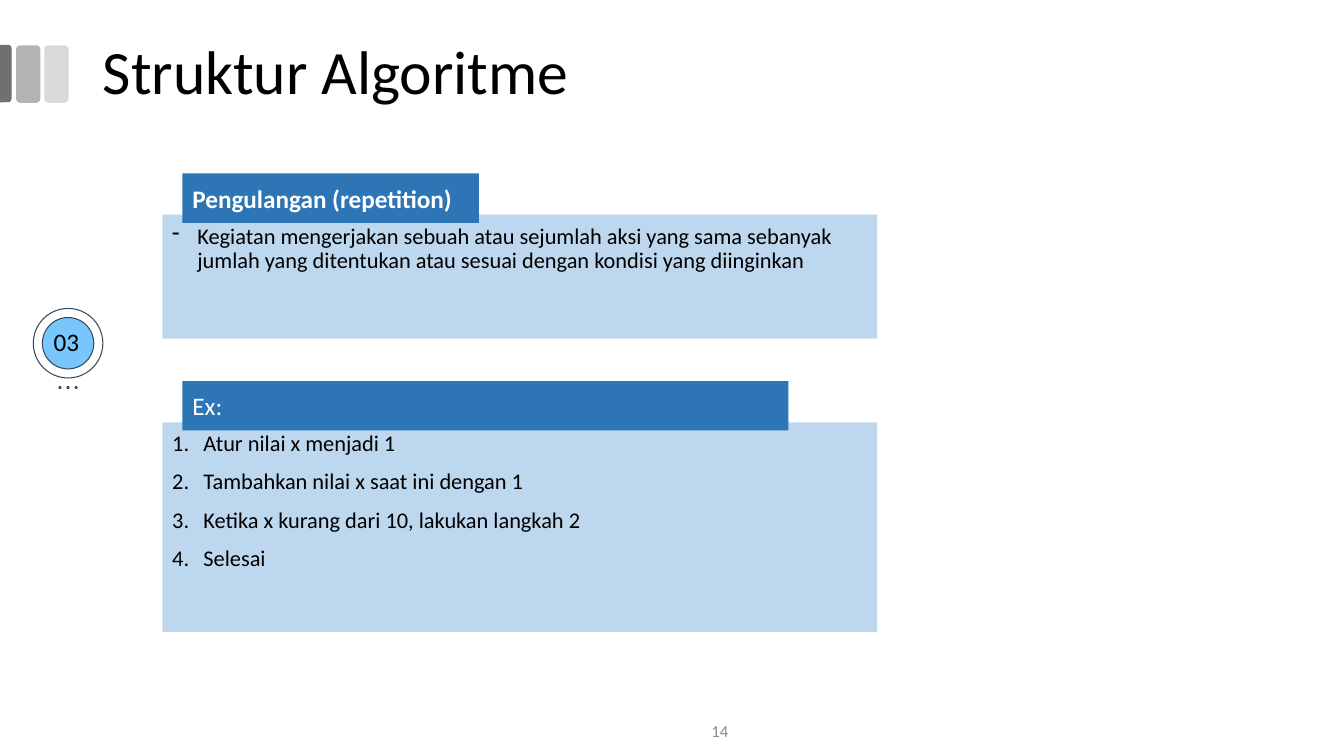
"""Build the repetition slide of an algorithm structure lesson."""
from dataclasses import dataclass
from typing import Optional

import lxml.etree
import pptx
import pptx.dml.color
import pptx.enum.shapes
import pptx.enum.text
import pptx.oxml.ns
import pptx.util

EMU_PER_PX = 9144
FONT = "Calibri"
SHAPES = pptx.enum.shapes.MSO_SHAPE
ALIGN = pptx.enum.text.PP_ALIGN
ANCHOR = pptx.enum.text.MSO_ANCHOR


@dataclass(frozen=True)
class Box:
    """A rectangle in px."""
    left: int
    top: int
    width: int
    height: int


@dataclass(frozen=True)
class Figure:
    """A filled preset shape, optionally outlined or rotated."""
    kind: pptx.enum.shapes.MSO_SHAPE
    box: Box
    fill: str
    line: Optional[str] = None
    rotation: int = 0
    adjustments: tuple[float, ...] = ()


@dataclass(frozen=True)
class Bullet:
    """A bullet element with its attributes and hanging indent in px."""
    tag: str
    attributes: dict[str, str]
    indent: int


@dataclass(frozen=True)
class Panel:
    """A heading banner overlapping a bulleted body."""
    top: int
    banner_width: int
    body_height: int
    heading: str
    bold: bool
    bullet: Bullet
    items: tuple[str, ...]


BADGE = [
    Figure(SHAPES.OVAL, Box(33, 306, 69, 69), "FFFFFF", "374957"),
    Figure(SHAPES.OVAL, Box(42, 315, 51, 51), "77C6FC", "374957"),
    *(Figure(SHAPES.OVAL, Box(58 + 8 * index, 383, 3, 3), "374957") for index in range(3)),
]
TITLE_BARS = [
    Figure(SHAPES.ROUNDED_RECTANGLE, Box(44, 45, 24, 57), "D9D9D9"),
    Figure(SHAPES.ROUNDED_RECTANGLE, Box(16, 45, 24, 57), "B3B3B3"),
    Figure(SHAPES.ROUND_2_SAME_RECTANGLE, Box(-23, 67, 57, 12), "707070",
           rotation=90, adjustments=(0.29, 0)),
]
PANELS = [
    Panel(172, 294, 123, "Pengulangan (repetition)", True,
          Bullet("a:buChar", {"char": "-"}, 25),
          ("Kegiatan mengerjakan sebuah atau sejumlah aksi yang sama sebanyak "
           "jumlah yang ditentukan atau sesuai dengan kondisi yang diinginkan",)),
    Panel(378, 601, 208, "Ex:", False,
          Bullet("a:buAutoNum", {"type": "arabicPeriod"}, 31),
          ("Atur nilai x menjadi 1", "Tambahkan nilai x saat ini dengan 1",
           "Ketika x kurang dari 10, lakukan langkah 2", "Selesai")),
]


def px(length: int) -> pptx.util.Emu:
    """Turn px into EMU."""
    return pptx.util.Emu(length * EMU_PER_PX)


def frame(box: Box) -> tuple[pptx.util.Emu, ...]:
    """Give the position and size of a box in EMU."""
    return px(box.left), px(box.top), px(box.width), px(box.height)


def color(hex_code: str) -> pptx.dml.color.RGBColor:
    """Turn a hex string into a colour."""
    return pptx.dml.color.RGBColor.from_string(hex_code)


def draw_figure(slide, figure: Figure):
    """Draw one preset shape and return it."""
    shape = slide.shapes.add_shape(figure.kind, *frame(figure.box))
    shape.shadow.inherit = False
    shape.rotation = figure.rotation
    for index, value in enumerate(figure.adjustments):
        shape.adjustments[index] = value
    shape.fill.solid()
    shape.fill.fore_color.rgb = color(figure.fill)
    if figure.line:
        shape.line.color.rgb = color(figure.line)
        shape.line.width = pptx.util.Pt(0.75)
    else:
        shape.line.fill.background()
    return shape


def add_bullet(paragraph, bullet: Bullet) -> None:
    """Give a paragraph a black bullet and a hanging indent."""
    properties = paragraph._p.get_or_add_pPr()
    properties.set("marL", str(px(bullet.indent)))
    properties.set("indent", str(-px(bullet.indent)))
    qualify = pptx.oxml.ns.qn
    bullet_color = lxml.etree.SubElement(properties, qualify("a:buClr"))
    lxml.etree.SubElement(bullet_color, qualify("a:srgbClr"), val="000000")
    lxml.etree.SubElement(properties, qualify(bullet.tag), bullet.attributes)


def write(shape, lines: tuple[str, ...], size: int, hex_code: str = "000000",
          align=ALIGN.LEFT, anchor=ANCHOR.MIDDLE, bold: bool = False,
          spacing: Optional[float] = None, before: int = 0, inset: int = 5,
          bullet: Optional[Bullet] = None) -> None:
    """Fill a shape with uniformly formatted paragraphs."""
    text_frame = shape.text_frame
    text_frame.word_wrap = True
    text_frame.auto_size = pptx.enum.text.MSO_AUTO_SIZE.NONE
    text_frame.vertical_anchor = anchor
    text_frame.margin_left = text_frame.margin_right = px(10)
    text_frame.margin_top = text_frame.margin_bottom = px(inset)
    text_frame.text = "\n".join(lines)
    for paragraph in text_frame.paragraphs:
        paragraph.alignment = align
        paragraph.line_spacing = spacing
        paragraph.space_before = pptx.util.Pt(before)
        if bullet:
            add_bullet(paragraph, bullet)
        paragraph.font.name = FONT
        paragraph.font.size = pptx.util.Pt(size)
        paragraph.font.bold = bold
        paragraph.font.color.rgb = color(hex_code)


def draw_panel(slide, panel: Panel) -> None:
    """Draw a body and the banner that overlaps its top edge."""
    body = draw_figure(slide, Figure(
        SHAPES.RECTANGLE, Box(161, panel.top + 41, 709, panel.body_height), "BDD7EE"))
    write(body, panel.items, 16, anchor=ANCHOR.TOP, spacing=0.9, before=10,
          inset=10, bullet=panel.bullet)
    banner = draw_figure(slide, Figure(
        SHAPES.RECTANGLE, Box(181, panel.top, panel.banner_width, 49), "2E75B6"))
    write(banner, (panel.heading,), 18, "FFFFFF", bold=panel.bold)


def main() -> None:
    """Build and save the presentation."""
    presentation = pptx.Presentation()
    presentation.slide_width, presentation.slide_height = px(1333), px(750)
    slide = presentation.slides.add_slide(presentation.slide_layouts[5])

    for bar in TITLE_BARS:
        draw_figure(slide, bar)
    title = slide.shapes.title
    title.left, title.top, title.width, title.height = frame(Box(92, 1, 1150, 145))
    write(title, ("Struktur Algoritme",), 44, spacing=0.9)

    page_number = slide.shapes.add_textbox(*frame(Box(564, 705, 300, 40)))
    write(page_number, ("14",), 12, "8C8C8C", ALIGN.CENTER)

    for figure in BADGE:
        draw_figure(slide, figure)
    badge_number = slide.shapes.add_textbox(*frame(Box(41, 322, 50, 38)))
    write(badge_number, ("03",), 18, align=ALIGN.CENTER, spacing=0.9, inset=10)

    for panel in PANELS:
        draw_panel(slide, panel)
    presentation.save("out.pptx")


if __name__ == "__main__":
    main()
